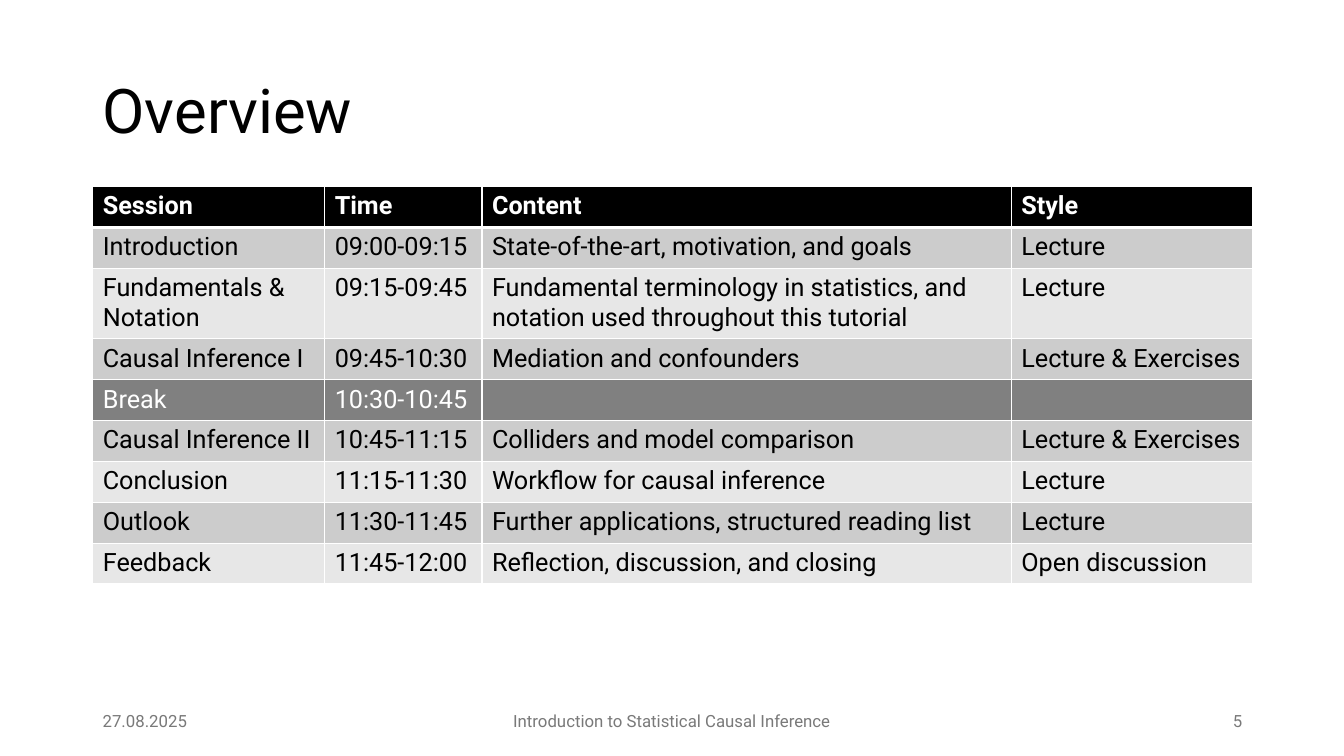
from lxml import etree
from pptx import Presentation, util as u
from pptx.dml.color import RGBColor
from pptx.enum import text
from pptx.oxml.ns import qn

W, H = 13.33, 7.5
LEFT, WIDTH = 0.92, 11.5
FOOT_TOP, FOOT_H, FOOT_W = 6.95, 0.4, 3
BLACK, WHITE, GREY = "000000", "FFFFFF", "797979"
DARK_BAND, LIGHT_BAND, BREAK_BAND = "CCCCCC", "E7E7E7", "808080"
SCHEDULE = [
    ("Session", "Time", "Content", "Style"),
    ("Introduction", "09:00-09:15", "State-of-the-art, motivation, and goals", "Lecture"),
    ("Fundamentals & Notation", "09:15-09:45",
     "Fundamental terminology in statistics, and notation used throughout this tutorial", "Lecture"),
    ("Causal Inference I", "09:45-10:30", "Mediation and confounders", "Lecture & Exercises"),
    ("Break", "10:30-10:45", "", ""),
    ("Causal Inference II", "10:45-11:15", "Colliders and model comparison", "Lecture & Exercises"),
    ("Conclusion", "11:15-11:30", "Workflow for causal inference", "Lecture"),
    ("Outlook", "11:30-11:45", "Further applications, structured reading list", "Lecture"),
    ("Feedback", "11:45-12:00", "Reflection, discussion, and closing", "Open discussion"),
]
COLUMNS = [2.3, 1.56, 5.25, 2.39]


def write(tf, words, size, color, bold=False):
    """Put one formatted run in the first paragraph and return that paragraph."""
    p = tf.paragraphs[0]
    r = p.add_run()
    r.text = words
    for name, value in {"name": "Roboto", "size": u.Pt(size), "bold": bold}.items():
        setattr(r.font, name, value)
    r.font.color.rgb = RGBColor.from_string(color)
    return p


def add_border(cell, side, points):
    line = etree.SubElement(cell._tc.get_or_add_tcPr(), qn(f"a:ln{side}"), w=str(u.Pt(points)))
    fill = etree.SubElement(line, qn("a:solidFill"))
    etree.SubElement(fill, qn("a:srgbClr"), val=WHITE)


prs = Presentation()
prs.slide_width, prs.slide_height = u.Inches(W), u.Inches(H)
s = prs.slides.add_slide(prs.slide_layouts[6])

# Title and footer
align = text.PP_ALIGN
for words, left, top, width, height, size, color, side, spacing in [
    ("Overview", LEFT, 0.4, 10.4, 1.45, 44, BLACK, align.LEFT, 0.9),
    ("27.08.2025", LEFT, FOOT_TOP, FOOT_W, FOOT_H, 12, GREY, align.LEFT, 1.0),
    ("Introduction to Statistical Causal Inference", (W - 4.5) / 2, FOOT_TOP, 4.5, FOOT_H,
     12, GREY, align.CENTER, 1.0),
    ("5", LEFT + WIDTH - FOOT_W, FOOT_TOP, FOOT_W, FOOT_H, 12, GREY, align.RIGHT, 1.0),
]:
    tf = s.shapes.add_textbox(*map(u.Inches, (left, top, width, height))).text_frame
    tf.word_wrap = True
    tf.vertical_anchor = text.MSO_ANCHOR.MIDDLE
    p = write(tf, words, size, color)
    p.alignment, p.line_spacing = side, spacing

# Schedule table
table = s.shapes.add_table(len(SCHEDULE), len(COLUMNS),
                           *map(u.Inches, (LEFT, 1.85, WIDTH, 3.65))).table
for column, width in zip(table.columns, COLUMNS):
    column.width = u.Inches(width)

for i, entries in enumerate(SCHEDULE):
    header = i == 0
    if header:
        band, color = BLACK, WHITE
    elif entries[0] == "Break":
        band, color = BREAK_BAND, WHITE
    else:
        band, color = (DARK_BAND if i % 2 else LIGHT_BAND), BLACK
    for j, words in enumerate(entries):
        cell = table.cell(i, j)
        borders = {"L": 1, "R": 1, "T": 3 if i == 1 else 1, "B": 3 if header else 1}
        for side, points in borders.items():
            add_border(cell, side, points)
        cell.fill.solid()
        cell.fill.fore_color.rgb = RGBColor.from_string(band)
        if words:
            write(cell.text_frame, words, 18, color, bold=header)

prs.save("out.pptx")
